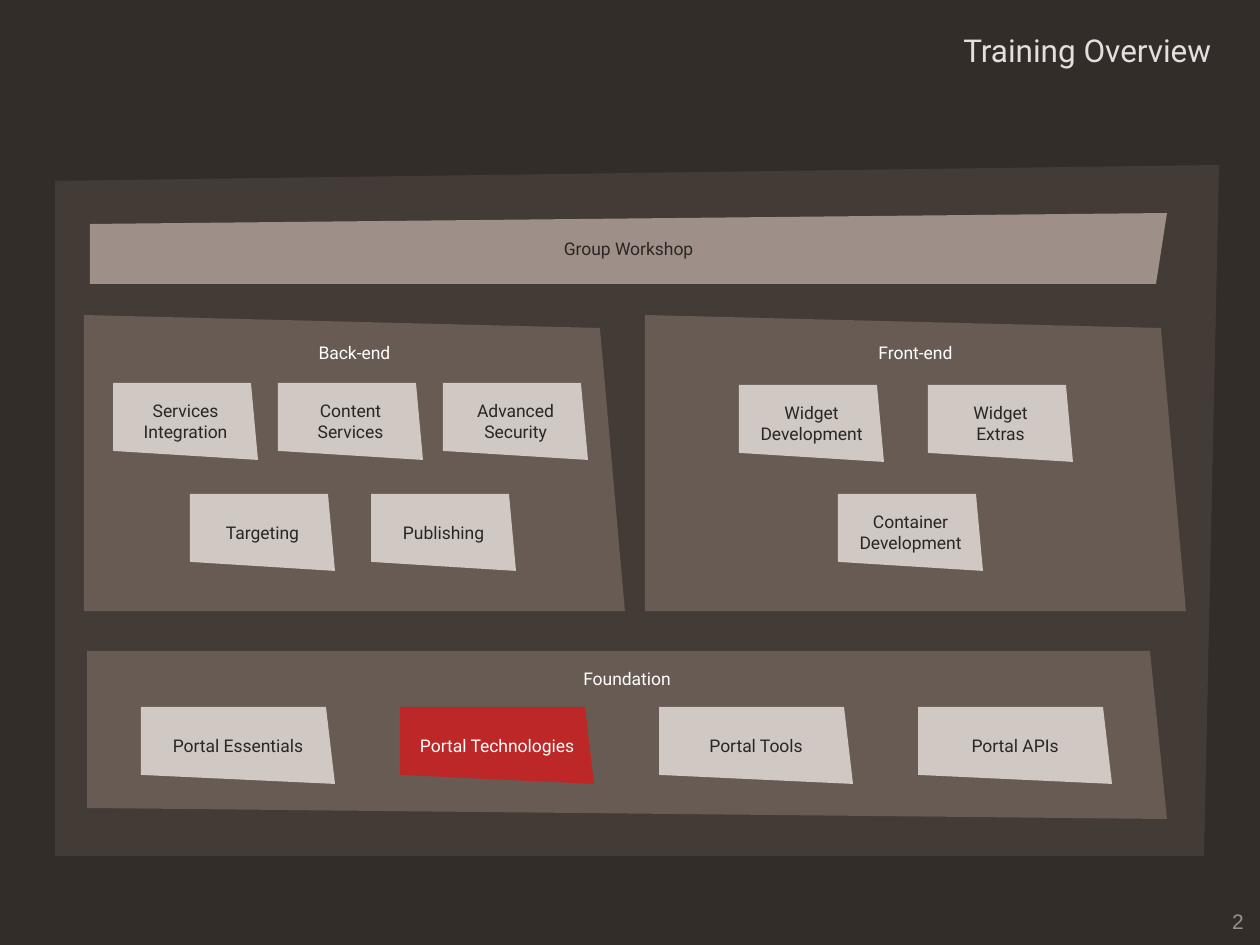
"""Build the training overview slide."""
from pptx import Presentation
from pptx.dml.color import RGBColor
from pptx.enum.text import MSO_ANCHOR, MSO_AUTO_SIZE, PP_ALIGN
from pptx.util import Pt

SCALE = 914400 / 126
FONT = "Roboto"
BACKGROUND = RGBColor(0x33, 0x2D, 0x2A)
BACKDROP = RGBColor(0x43, 0x3B, 0x36)
PANEL = RGBColor(0x67, 0x5B, 0x53)
TAUPE = RGBColor(0x9E, 0x90, 0x88)
CARD = RGBColor(0xCF, 0xC8, 0xC3)
HIGHLIGHT = RGBColor(0xBD, 0x27, 0x27)
TITLE = RGBColor(0xE5, 0xDE, 0xDC)
DARK = RGBColor(0x2B, 0x26, 0x23)
WHITE = RGBColor(0xFF, 0xFF, 0xFF)

FOUNDATION_CARDS = ["Portal Essentials", "Portal Technologies", "Portal Tools", "Portal APIs"]
BACK_END_CARDS = [
    (113, 383, "Services\nIntegration"),
    (278, 383, "Content\nServices"),
    (443, 383, "Advanced\nSecurity"),
    (190, 494, "Targeting"),
    (371, 494, "Publishing"),
]
FRONT_END_CARDS = [
    (739, 385, "Widget\vDevelopment"),
    (928, 385, "Widget\nExtras"),
    (838, 494, "Container\nDevelopment"),
]


def px(length):
    return round(length * SCALE)


def write_text(text_frame, text, size, color, alignment, font=FONT):
    text_frame.text = text
    for paragraph in text_frame.paragraphs:
        paragraph.alignment = alignment
        for run in paragraph.runs:
            run.font.name = font
            run.font.size = Pt(size)
            run.font.color.rgb = color


def place(shape, left, top, width, height):
    shape.left, shape.top = px(left), px(top)
    shape.width, shape.height = px(width), px(height)


def add_polygon(slide, points, fill):
    builder = slide.shapes.build_freeform(*points[0], scale=SCALE)
    builder.add_line_segments(points[1:], close=True)
    shape = builder.convert_to_shape()
    shape.shadow.inherit = False
    shape.fill.solid()
    shape.fill.fore_color.rgb = fill
    shape.line.fill.background()
    return shape


def add_label(shape, text, color):
    text_frame = shape.text_frame
    text_frame.word_wrap = False
    text_frame.vertical_anchor = MSO_ANCHOR.MIDDLE
    write_text(text_frame, text, 10, color, PP_ALIGN.CENTER)


def add_panel(slide, points, heading, heading_offset):
    shape = add_polygon(slide, points, PANEL)
    add_label(shape, heading, WHITE)
    shape.text_frame.vertical_anchor = MSO_ANCHOR.TOP
    shape.text_frame.margin_top = px(heading_offset)


def add_card(slide, left, top, text, width=145, slant=7, fill=CARD, color=DARK):
    right = left + width
    points = [(left, top), (right - slant, top), (right, top + 77), (left, top + 68)]
    add_label(add_polygon(slide, points, fill), text, color)


def add_track(slide, left, heading, cards):
    points = [(left, 315), (left + 516, 328), (left + 541, 611), (left, 611)]
    add_panel(slide, points, heading, 27)
    for card_left, card_top, text in cards:
        add_card(slide, card_left, card_top, text)


def add_foundation(slide):
    add_panel(slide, [(87, 651), (1150, 651), (1167, 819), (87, 808)], "Foundation", 17)
    for index, text in enumerate(FOUNDATION_CARDS):
        active = text == "Portal Technologies"
        fill, color = (HIGHLIGHT, WHITE) if active else (CARD, DARK)
        add_card(slide, 141 + 259 * index, 707, text, 194, 9, fill, color)


def add_workshop(slide):
    shape = add_polygon(slide, [(90, 224), (1167, 213), (1156, 284), (90, 284)], TAUPE)
    add_label(shape, "Group Workshop", DARK)


def set_title(slide, text):
    title = slide.shapes.title
    place(title, 361, 25, 863, 50)
    title.text_frame.auto_size = MSO_AUTO_SIZE.NONE
    title.text_frame.vertical_anchor = MSO_ANCHOR.TOP
    write_text(title.text_frame, text, 18, TITLE, PP_ALIGN.RIGHT)


def add_page_number(slide, number):
    box = slide.shapes.add_textbox(px(1026), px(904), px(230), px(35))
    box.text_frame.word_wrap = True
    box.text_frame.vertical_anchor = MSO_ANCHOR.MIDDLE
    write_text(box.text_frame, number, 12, TAUPE, PP_ALIGN.RIGHT, "Arial")


def main():
    presentation = Presentation()
    presentation.slide_width, presentation.slide_height = px(1260), px(945)
    slide = presentation.slides.add_slide(presentation.slide_layouts[5])
    slide.background.fill.solid()
    slide.background.fill.fore_color.rgb = BACKGROUND
    set_title(slide, "Training Overview")
    add_page_number(slide, "2")
    add_polygon(slide, [(55, 181), (1219, 165), (1204, 856), (55, 856)], BACKDROP)
    add_foundation(slide)
    add_track(slide, 84, "Back-end", BACK_END_CARDS)
    add_workshop(slide)
    add_track(slide, 645, "Front-end", FRONT_END_CARDS)
    presentation.save("out.pptx")


if __name__ == "__main__":
    main()
